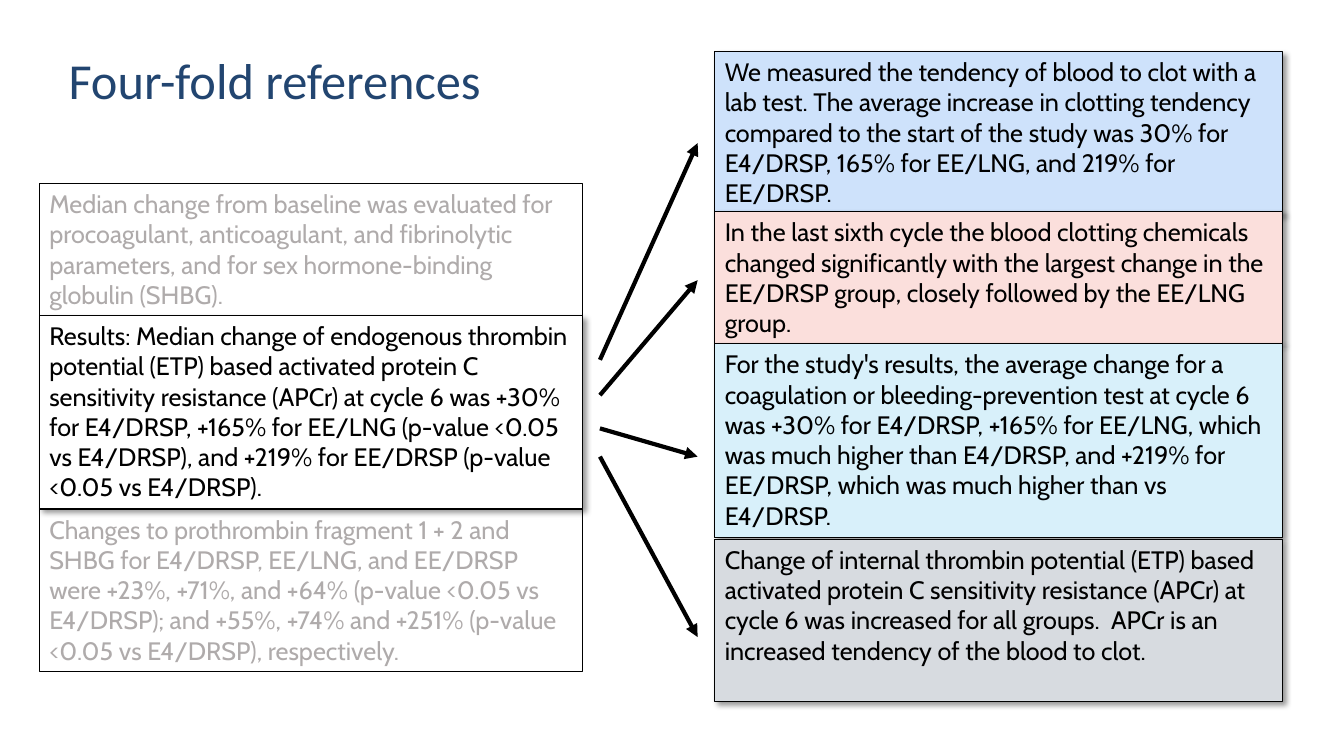
from dataclasses import dataclass

from lxml import etree
from pptx import Presentation
from pptx.dml.color import RGBColor
from pptx.enum.shapes import MSO_CONNECTOR, MSO_SHAPE
from pptx.enum.text import MSO_ANCHOR, PP_ALIGN
from pptx.oxml.ns import qn
from pptx.util import Inches, Pt

RECTANGLE = MSO_SHAPE.RECTANGLE
STRAIGHT = MSO_CONNECTOR.STRAIGHT
MIDDLE, TOP = MSO_ANCHOR.MIDDLE, MSO_ANCHOR.TOP
LEFT = PP_ALIGN.LEFT

# Grid of 100 columns by 100 rows
SLIDE_WIDTH, SLIDE_HEIGHT = Inches(13.33), Inches(7.5)
LINE_ROWS, PADDING_ROWS = 4.04, 1.33
SOURCE_LEFT, SOURCE_WIDTH = 2.93, 40.44
REWRITE_LEFT, REWRITE_WIDTH = 53.19, 42.24
ARROW_START, ARROW_END = 44.64, 51.91
BLACK, FADED, NAVY = "000000", "AFABAB", "224570"


@dataclass
class Passage:
    left: float
    top: float
    width: float
    lines: int
    text: str
    fill: str | None = None
    color: str = BLACK


@dataclass
class Arrow:
    start_row: float
    end_row: float


PASSAGES = [
    Passage(SOURCE_LEFT, 41.73, SOURCE_WIDTH, 6,
            "Results: Median change of endogenous thrombin potential (ETP) based activated "
            "protein C sensitivity resistance (APCr) at cycle 6 was +30% for E4/DRSP, +165% "
            "for EE/LNG (p-value <0.05 vs E4/DRSP), and +219% for EE/DRSP (p-value <0.05 "
            "vs E4/DRSP).", "FFFFFF"),
    Passage(REWRITE_LEFT, 6.8, REWRITE_WIDTH, 5,
            "We measured the tendency of blood to clot with a lab test. The average increase "
            "in clotting tendency compared to the start of the study was 30% for E4/DRSP, "
            "165% for EE/LNG, and 219% for EE/DRSP.", "CEE2FB"),
    Passage(REWRITE_LEFT, 28, REWRITE_WIDTH, 4,
            "In the last sixth cycle the blood clotting chemicals changed significantly with "
            "the largest change in the EE/DRSP group, closely followed by the EE/LNG group.",
            "FBDFDC"),
    Passage(REWRITE_LEFT, 45.47, REWRITE_WIDTH, 6,
            "For the study's results, the average change for a coagulation or "
            "bleeding-prevention test at cycle 6 was +30% for E4/DRSP, +165% for EE/LNG, "
            "which was much higher than E4/DRSP, and +219% for EE/DRSP, which was much "
            "higher than vs E4/DRSP.", "D8F0FA"),
    Passage(REWRITE_LEFT, 71.33, REWRITE_WIDTH, 5,
            "Change of internal thrombin potential (ETP) based activated protein C "
            "sensitivity resistance (APCr) at cycle 6 was increased for all groups.  APCr is "
            "an increased tendency of the blood to clot.", "D7DBE0"),
    Passage(SOURCE_LEFT, 24.27, SOURCE_WIDTH, 4,
            "Median change from baseline was evaluated for procoagulant, anticoagulant, and "
            "fibrinolytic parameters, and for sex hormone-binding globulin (SHBG).",
            color=FADED),
    Passage(SOURCE_LEFT, 67.33, SOURCE_WIDTH, 5,
            "Changes to prothrombin fragment 1 + 2 and SHBG for E4/DRSP, EE/LNG, and EE/DRSP "
            "were +23%, +71%, and +64% (p-value <0.05 vs E4/DRSP); and +55%, +74% and +251% "
            "(p-value <0.05 vs E4/DRSP), respectively.", color=FADED),
]
ARROWS = [Arrow(47.6, 18.93), Arrow(52.27, 37.07), Arrow(56.67, 60.4), Arrow(60.4, 84.27)]


def columns(count: float) -> int:
    return round(SLIDE_WIDTH * count / 100)


def rows(count: float) -> int:
    return round(SLIDE_HEIGHT * count / 100)


def rgb(value: str) -> RGBColor:
    return RGBColor.from_string(value)


def write(shape, text: str, font_name: str, size: float, color: str, anchor) -> None:
    frame = shape.text_frame
    frame.text = text
    frame.word_wrap = True
    frame.vertical_anchor = anchor
    paragraph = frame.paragraphs[0]
    paragraph.alignment = LEFT
    font = paragraph.runs[0].font
    font.name, font.size = font_name, Pt(size)
    font.color.rgb = rgb(color)


def add_shadow(shape) -> None:
    effects = shape._element.spPr.find(qn("a:effectLst"))
    shadow = etree.SubElement(effects, qn("a:outerShdw"), blurRad=str(Pt(4)),
                              dist=str(Pt(3)), dir="2700000", algn="tl", rotWithShape="0")
    color = etree.SubElement(shadow, qn("a:srgbClr"), val=BLACK)
    etree.SubElement(color, qn("a:alpha"), val="40000")


def add_title(slide, text: str) -> None:
    title = slide.shapes.add_textbox(columns(5.1), rows(6.8), columns(89.42), rows(7.47))
    frame = title.text_frame
    frame.margin_left = frame.margin_right = frame.margin_top = frame.margin_bottom = 0
    write(title, text, "Calibri", 36, NAVY, MIDDLE)


def add_passage(slide, passage: Passage) -> None:
    height = PADDING_ROWS + passage.lines * LINE_ROWS
    shape = slide.shapes.add_shape(RECTANGLE, columns(passage.left), rows(passage.top),
                                   columns(passage.width), rows(height))
    shape.shadow.inherit = False
    shape.line.color.rgb = rgb(BLACK)
    shape.line.width = Pt(0.75)
    if passage.fill:
        shape.fill.solid()
        shape.fill.fore_color.rgb = rgb(passage.fill)
        add_shadow(shape)
    else:
        shape.fill.background()
    write(shape, passage.text, "Cabin", 18, passage.color, TOP)


def add_arrow(slide, arrow: Arrow) -> None:
    connector = slide.shapes.add_connector(STRAIGHT, columns(ARROW_START), rows(arrow.start_row),
                                           columns(ARROW_END), rows(arrow.end_row))
    connector.line.color.rgb = rgb(BLACK)
    connector.line.width = Pt(3)
    etree.SubElement(connector.line._get_or_add_ln(), qn("a:tailEnd"), type="triangle")
    etree.SubElement(connector._element.spPr, qn("a:effectLst"))


def main() -> None:
    presentation = Presentation()
    presentation.slide_width, presentation.slide_height = SLIDE_WIDTH, SLIDE_HEIGHT
    slide = presentation.slides.add_slide(presentation.slide_layouts[6])

    # Title, text passages, then the arrows between them
    add_title(slide, "Four-fold references")
    for passage in PASSAGES:
        add_passage(slide, passage)
    for arrow in ARROWS:
        add_arrow(slide, arrow)

    presentation.save("out.pptx")


if __name__ == "__main__":
    main()
